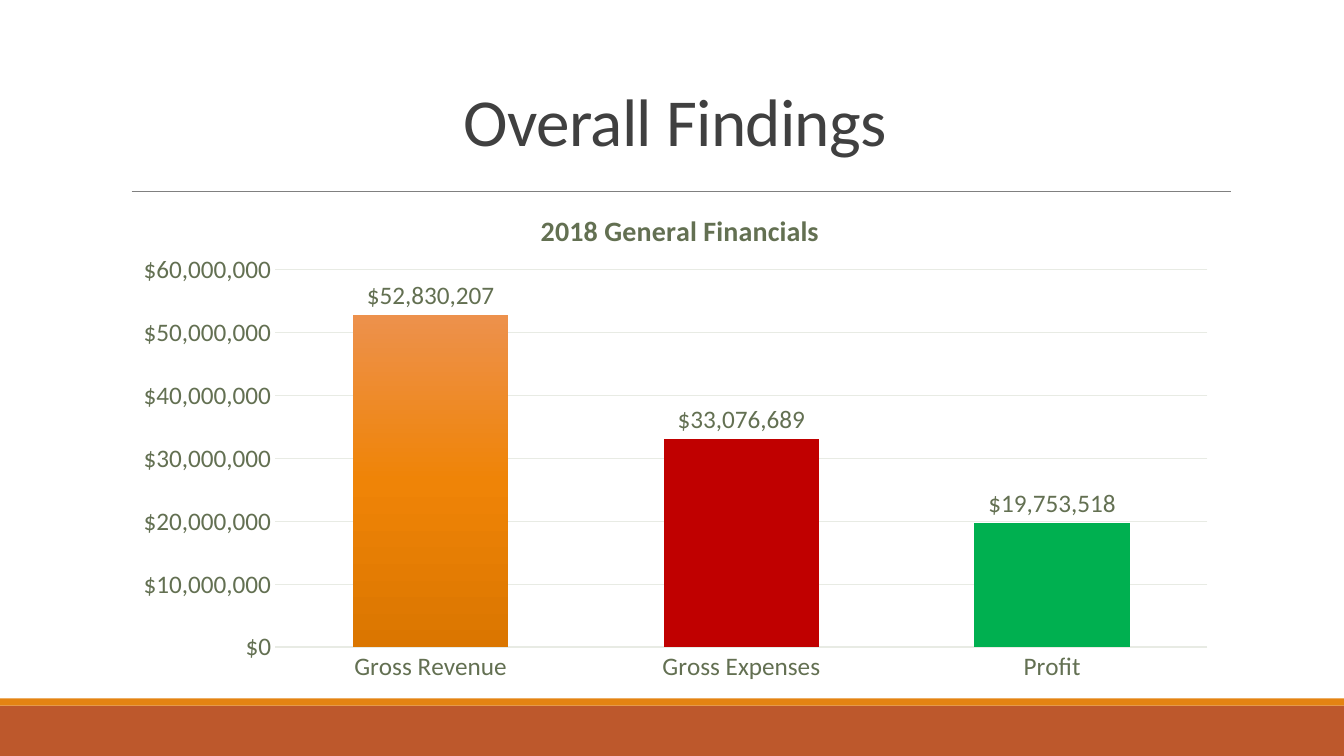
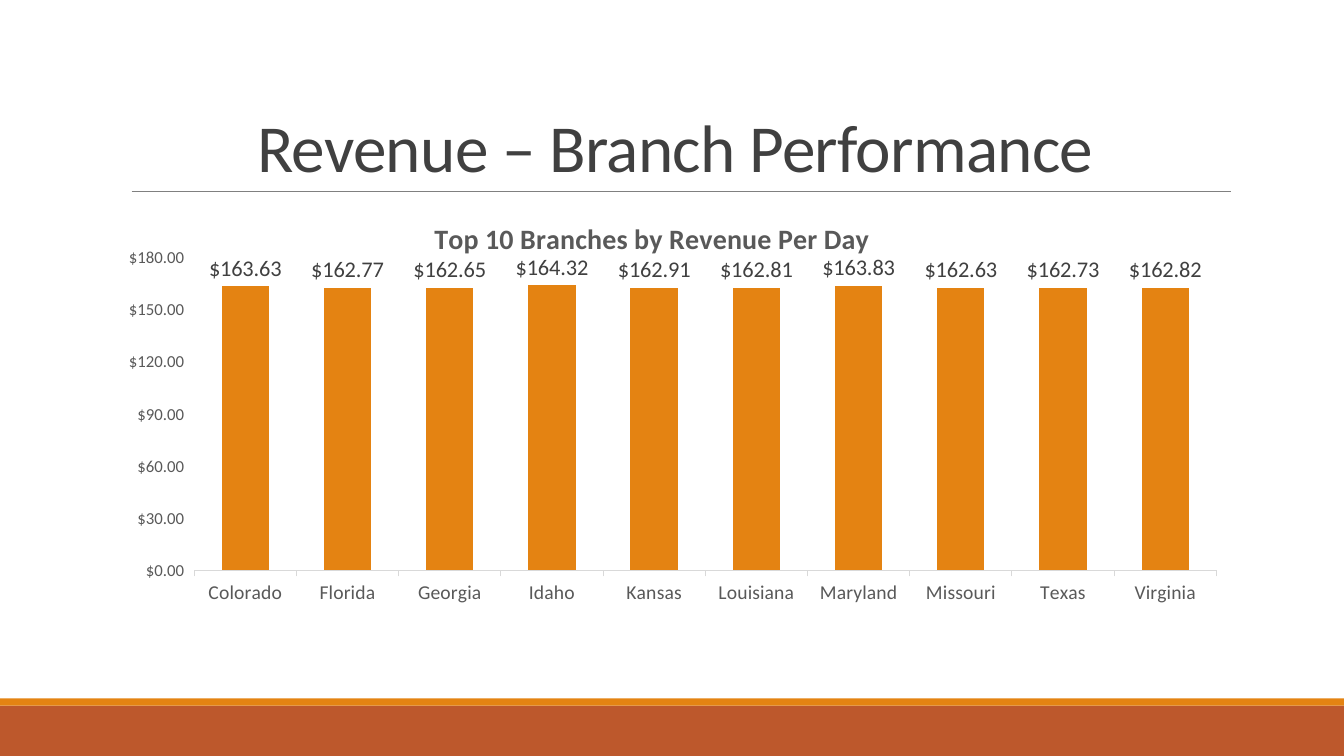
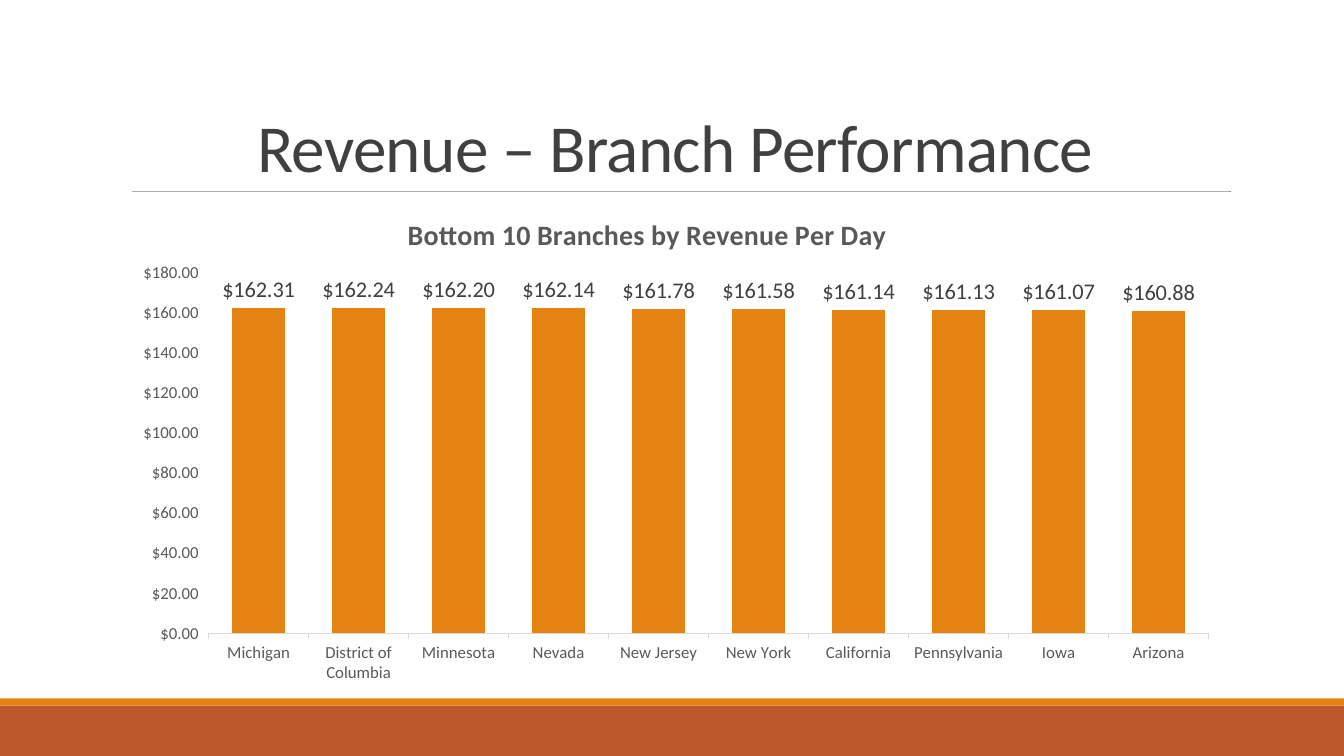
from copy import deepcopy

from lxml.etree import SubElement
from pptx import Presentation
from pptx.chart.data import CategoryChartData
from pptx.dml.color import RGBColor
from pptx.enum.chart import XL_CHART_TYPE, XL_LABEL_POSITION, XL_TICK_MARK
from pptx.enum.shapes import MSO_CONNECTOR, MSO_SHAPE
from pptx.enum.text import MSO_ANCHOR, PP_ALIGN
from pptx.oxml import parse_xml
from pptx.oxml.ns import nsdecls, qn
from pptx.util import Cm, Pt

# Shared look
FONT = "Calibri"
ORANGE, RUST = "E48312", "BD582C"
DARK, GREY, PALE_GREY = "404040", "595959", "D9D9D9"
OLIVE, PALE_OLIVE = "637052", "E8EBE4"
SLIDE_WIDTH, SLIDE_HEIGHT = Cm(33.87), Cm(19.05)
CONTENT_LEFT, CONTENT_WIDTH = Cm(3.05), Cm(27.94)
BANDS = [(17.78, 1.27, RUST), (17.6, 0.18, ORANGE)]  # top, height, colour
DOLLARS, CENTS = '"$"#,##0', '"$"#,##0.00'


def style(font, size, color, bold=False):
    font.name = FONT
    font.size = Pt(size)
    font.bold = bold
    font.color.rgb = RGBColor.from_string(color)


def place(part, **percent):
    """Fix a chart part at percentages of the chart area."""
    layout = part.find(qn("c:layout"))
    if layout is None:
        layout = parse_xml(f"<c:layout {nsdecls('c')}/>")
        part.insert(0, layout)
    manual = SubElement(layout, qn("c:manualLayout"))
    if "w" in percent:
        SubElement(manual, qn("c:layoutTarget")).set("val", "inner")
    for mode in ("xMode", "yMode"):
        SubElement(manual, qn(f"c:{mode}")).set("val", "edge")
    for side, value in percent.items():
        SubElement(manual, qn(f"c:{side}")).set("val", f"{value / 100:.3f}")


# Content of the slides
findings = dict(
    heading="Overall Findings", heading_height=3.38,
    title="2018 General Financials", title_at=dict(x=37.4, y=4.2),
    top=4.65, height=12.78, plot_at=dict(x=13.9, y=16.8, w=84.1, h=74.4),
    values={"Gross Revenue": 52830207, "Gross Expenses": 33076689, "Profit": 19753518},
    maximum=60000000, step=10000000, number_format=DOLLARS,
    gap=100, overlap=-24, category_size=18, value_size=18, label_size=18,
    text=OLIVE, label=OLIVE, axis_line=PALE_OLIVE, gridlines=True,
    ticks=XL_TICK_MARK.NONE, background="<a:noFill/>")

branches = dict(
    heading="Revenue – Branch Performance", heading_height=4.04,
    maximum=180, number_format=CENTS, value_size=12, label_size=16,
    text=GREY, label=DARK, axis_line=PALE_GREY, gridlines=False,
    ticks=XL_TICK_MARK.OUTSIDE,
    background='<a:solidFill><a:srgbClr val="FFFFFF"/></a:solidFill>')

top_branches = dict(
    branches, title="Top 10 Branches by Revenue Per Day", title_at=dict(x=27.8, y=2.3),
    top=5.13, height=11.18, plot_at=dict(x=6.6, y=12.3, w=92.2, h=70.4),
    values={"Colorado": 163.63, "Florida": 162.77, "Georgia": 162.65, "Idaho": 164.32,
            "Kansas": 162.91, "Louisiana": 162.81, "Maryland": 163.83,
            "Missouri": 162.63, "Texas": 162.73, "Virginia": 162.82},
    step=30, gap=116, overlap=49, category_size=14)

bottom_branches = dict(
    branches, title="Bottom 10 Branches by Revenue Per Day", title_at=dict(x=25.4, y=3.7),
    top=4.83, height=12.62, plot_at=dict(x=7.9, y=16.1, w=90.2, h=72.1),
    values={"Michigan": 162.31, "District of Columbia": 162.24, "Minnesota": 162.2,
            "Nevada": 162.14, "New Jersey": 161.78, "New York": 161.58,
            "California": 161.14, "Pennsylvania": 161.13, "Iowa": 161.07,
            "Arizona": 160.88},
    step=20, gap=87, overlap=15, category_size=12)

presentation = Presentation()
presentation.slide_width, presentation.slide_height = SLIDE_WIDTH, SLIDE_HEIGHT

for page in (findings, top_branches, bottom_branches):
    slide = presentation.slides.add_slide(presentation.slide_layouts[6])

    # Footer bands
    for band_top, band_height, color in BANDS:
        band = slide.shapes.add_shape(
            MSO_SHAPE.RECTANGLE, 0, Cm(band_top), SLIDE_WIDTH, Cm(band_height))
        band.shadow.inherit = False
        band.fill.solid()
        band.fill.fore_color.rgb = RGBColor.from_string(color)
        band.line.fill.background()

    # Rule under the heading
    rule = slide.shapes.add_connector(
        MSO_CONNECTOR.STRAIGHT, Cm(3.32), Cm(4.83), Cm(31.02), Cm(4.83))
    rule.line.color.rgb = RGBColor.from_string("808080")
    rule.line.width = Pt(0.5)
    SubElement(rule._element.spPr, qn("a:effectLst"))

    # Heading
    heading = slide.shapes.add_textbox(
        CONTENT_LEFT, Cm(0.79), CONTENT_WIDTH, Cm(page["heading_height"]))
    frame = heading.text_frame
    frame.word_wrap = True
    frame.vertical_anchor = MSO_ANCHOR.BOTTOM
    frame.text = page["heading"]
    paragraph = frame.paragraphs[0]
    paragraph.alignment = PP_ALIGN.CENTER
    paragraph.line_spacing = 0.85
    style(paragraph.runs[0].font, 48, DARK)
    paragraph.runs[0].font._element.set("spc", "-50")

    # Chart
    data = CategoryChartData(number_format=page["number_format"])
    data.categories = list(page["values"])
    data.add_series("Series 1", list(page["values"].values()))
    chart = slide.shapes.add_chart(
        XL_CHART_TYPE.COLUMN_CLUSTERED, CONTENT_LEFT, Cm(page["top"]),
        CONTENT_WIDTH, Cm(page["height"]), data).chart
    chart.has_legend = False
    style(chart.font, 10, "000000")
    chart_space = chart._chartSpace
    chart_space.find(qn("c:chart")).addnext(parse_xml(
        f"<c:spPr {nsdecls('c', 'a')}>{page['background']}"
        "<a:ln><a:noFill/></a:ln></c:spPr>"))

    # Chart title and plot position
    chart.has_title = True
    title = chart.chart_title
    title.text_frame.text = page["title"]
    style(title.text_frame.paragraphs[0].runs[0].font, 20, page["text"], bold=True)
    place(title._element, **page["title_at"])
    place(chart_space.find(".//" + qn("c:plotArea")), **page["plot_at"])

    # Axes
    axis_color = RGBColor.from_string(page["axis_line"])
    categories, amounts = chart.category_axis, chart.value_axis
    for axis, size in ((categories, page["category_size"]), (amounts, page["value_size"])):
        axis.major_tick_mark = page["ticks"]
        axis.minor_tick_mark = XL_TICK_MARK.NONE
        style(axis.tick_labels.font, size, page["text"])
    categories.format.line.color.rgb = axis_color
    categories.format.line.width = Pt(0.75)
    amounts.format.line.fill.background()
    amounts.minimum_scale, amounts.maximum_scale = 0, page["maximum"]
    amounts.major_unit = page["step"]
    amounts.tick_labels.number_format = page["number_format"]
    amounts.tick_labels.number_format_is_linked = False
    amounts.has_major_gridlines = page["gridlines"]
    if page["gridlines"]:
        amounts.major_gridlines.format.line.color.rgb = axis_color
        amounts.major_gridlines.format.line.width = Pt(0.75)

    # Columns and their labels
    plot = chart.plots[0]
    plot.vary_by_categories = False
    plot.gap_width, plot.overlap = page["gap"], page["overlap"]
    plot.has_data_labels = True
    labels = plot.data_labels
    labels.show_value = True
    labels.position = XL_LABEL_POSITION.OUTSIDE_END
    labels.number_format = page["number_format"]
    labels.number_format_is_linked = False
    style(labels.font, page["label_size"], page["label"])
    columns = plot.series[0]
    columns.invert_if_negative = False
    fill = columns.format.fill
    if page is findings:
        fill.gradient()
        fill.gradient_angle = 270
        stops = chart_space.find(".//" + qn("a:gsLst"))
        stops.append(deepcopy(stops[0]))
        shades = ((0, "ED914C"), (0.5, "EF8407"), (1, "DB7600"))
        for stop, (position, color) in zip(fill.gradient_stops, shades):
            stop.position = position
            stop.color.rgb = RGBColor.from_string(color)
        for index, color in ((1, "C00000"), (2, "00B050")):
            point_fill = columns.points[index].format.fill
            point_fill.solid()
            point_fill.fore_color.rgb = RGBColor.from_string(color)
    else:
        fill.solid()
        fill.fore_color.rgb = RGBColor.from_string(ORANGE)

presentation.save("out.pptx")
